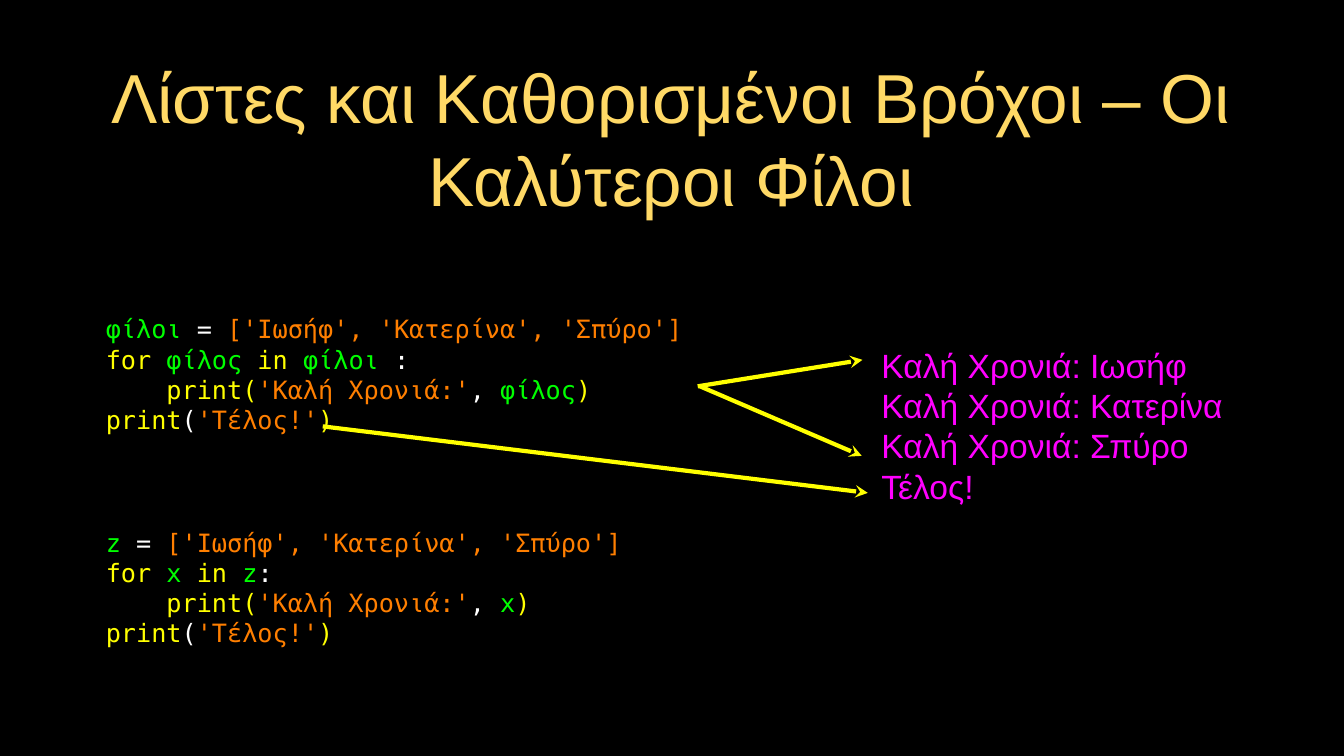
import pptx
import pptx.util
import pptx.dml.color
import pptx.enum.text
import pptx.enum.shapes
import pptx.oxml.ns
import lxml.etree

Inches = pptx.util.Inches
Pt = pptx.util.Pt
Color = pptx.dml.color.RGBColor.from_string
Align = pptx.enum.text.PP_ALIGN


class Theme:
    back = "000000"
    gold = "FFD966"
    green = "00FF00"
    white = "FFFFFF"
    orange = "FF7F00"
    yellow = "FFFF00"
    pink = "FF00FF"
    title = 66
    output = 32
    code = 24
    line = 4
    sans = "Arial"
    mono = "DejaVu Sans Mono"


deck = pptx.Presentation()
deck.slide_width = Inches(17.78)
deck.slide_height = Inches(10)
slide = deck.slides.add_slide(deck.slide_layouts[6])
slide.background.fill.solid()
slide.background.fill.fore_color.rgb = Color(Theme.back)


def write(text, *, at, size, font, align=Align.LEFT, inset=0):
    box = slide.shapes.add_textbox(*map(Inches, at))
    frame = box.text_frame
    frame.word_wrap = True
    frame.vertical_anchor = pptx.enum.text.MSO_ANCHOR.MIDDLE
    frame.margin_left = frame.margin_right = Inches(inset)
    frame.margin_top = frame.margin_bottom = Inches(inset)
    for index, line in enumerate(text):
        para = frame.add_paragraph() if index else frame.paragraphs[0]
        para.alignment = align
        for words, color in line:
            run = para.add_run()
            run.text = words
            run.font.size = Pt(size)
            run.font.name = font
            run.font.color.rgb = Color(color)


write([[("Λίστες και Καθορισμένοι Βρόχοι – Οι Καλύτεροι Φίλοι", Theme.gold)]],
      at=(1.26, 0.86, 15.24, 1.91), size=Theme.title, font=Theme.sans,
      align=Align.CENTER, inset=0.04)

loops = [(3.74, "φίλοι", "φίλος", " :"), (6.56, "z", "x", ":")]
for top, group, item, colon in loops:
    code = [
        [(group, Theme.green), (" = ", Theme.white),
         ("['Ιωσήφ', 'Κατερίνα', 'Σπύρο']", Theme.orange)],
        [("for ", Theme.yellow), (item, Theme.green), (" in ", Theme.yellow),
         (group, Theme.green), (colon, Theme.white)],
        [("    print(", Theme.yellow), ("'Καλή Χρονιά:'", Theme.orange),
         (", ", Theme.white), (item, Theme.green), (")", Theme.yellow)],
        [("print", Theme.yellow), ("(", Theme.white),
         ("'Τέλος!'", Theme.orange), (")", Theme.yellow)],
    ]
    write(code, at=(1.4, top, 7.96, 2.42), size=Theme.code, font=Theme.mono)

names = ["Ιωσήφ", "Κατερίνα", "Σπύρο"]
lines = [f"Καλή Χρονιά: {name}" for name in names] + ["Τέλος!"]
write([[(line, Theme.pink)] for line in lines],
      at=(11.66, 4.43, 5.41, 2.39), size=Theme.output, font=Theme.sans)

arrows = [
    (11.41, 4.76, 9.23, 5.11),
    (11.4, 6.03, 9.26, 5.11),
    (11.48, 6.52, 4.27, 5.64),
]
for ends in arrows:
    arrow = slide.shapes.add_connector(
        pptx.enum.shapes.MSO_CONNECTOR.STRAIGHT, *map(Inches, ends))
    arrow.line.color.rgb = Color(Theme.yellow)
    arrow.line.width = Pt(Theme.line)
    props = arrow.element.spPr
    stroke = props.find(pptx.oxml.ns.qn("a:ln"))
    lxml.etree.SubElement(stroke, pptx.oxml.ns.qn("a:headEnd"), type="stealth")
    lxml.etree.SubElement(props, pptx.oxml.ns.qn("a:effectLst"))

deck.save("out.pptx")
